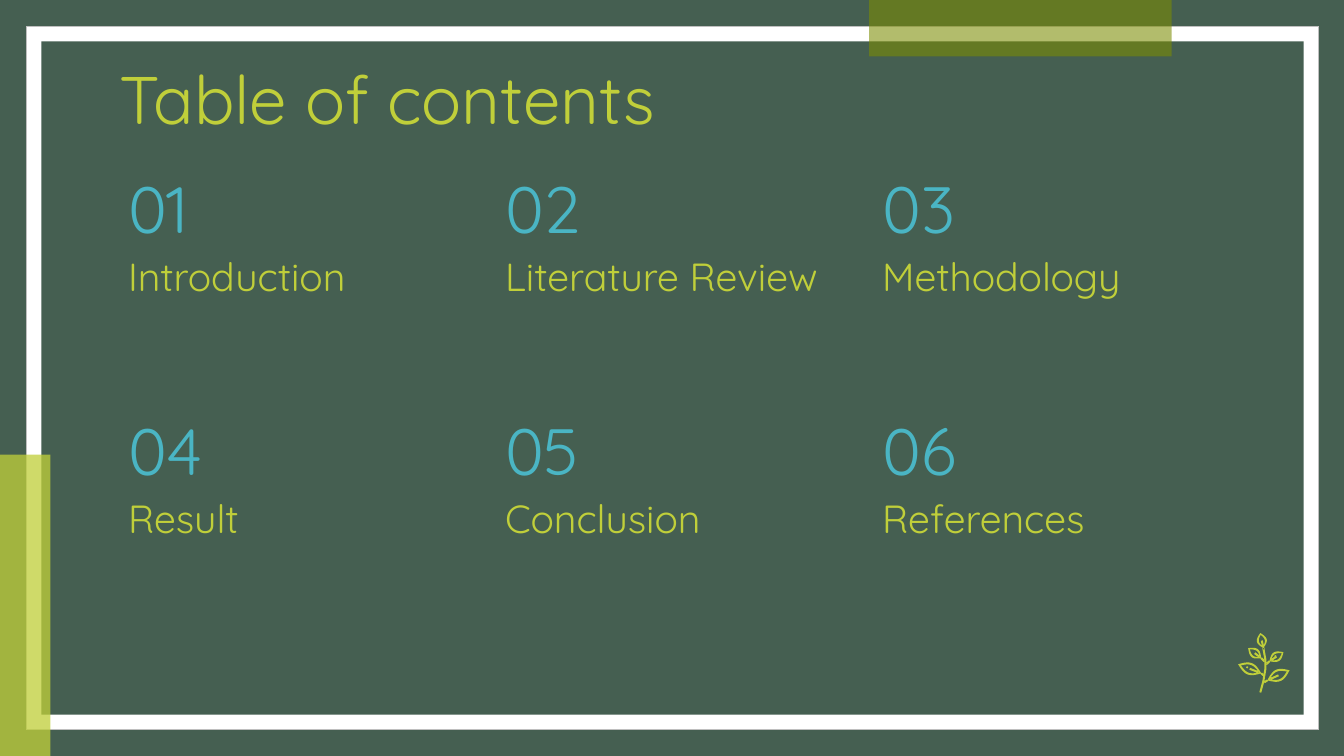
import math
from dataclasses import dataclass

import pptx
import pptx.dml.color
import pptx.enum.shapes
import pptx.enum.text
import pptx.oxml.ns
import pptx.util
from lxml import etree
from pptx.util import Inches

ANCHOR = pptx.enum.text.MSO_ANCHOR


@dataclass(frozen=True)
class Theme:
    font: str = "Quicksand"
    board: str = "455F51"
    frame: str = "FFFFFF"
    frame_edge: str = "BFBFBF"
    olive: str = "7C8C03"
    lime: str = "C0CF3A"
    teal: str = "4AB5C4"
    title_size: float = 48
    number_size: float = 46.67
    label_size: float = 28
    hairline: float = 0.5


THEME = Theme()
TOPICS = ["Introduction", "Literature Review", "Methodology",
          "Result", "Conclusion", "References"]

# Sprig in inches: stem joint, leaf base, leaf tip, half width
LEAVES = [
    ((12.54, 6.44), (12.53, 6.43), (12.5, 6.28), 0.05),
    ((12.54, 6.56), (12.51, 6.53), (12.38, 6.43), 0.05),
    ((12.56, 6.59), (12.59, 6.56), (12.73, 6.47), 0.05),
    ((12.53, 6.7), (12.51, 6.68), (12.28, 6.59), 0.06),
    ((12.54, 6.77), (12.57, 6.75), (12.79, 6.65), 0.06),
]
STEM = [(12.53, 6.43), (12.55, 6.54), (12.55, 6.64), (12.53, 6.76), (12.5, 6.87)]
DOTS = [(12.37, 6.62), (12.65, 6.51)]
STROKE = 0.02


def rgb(color):
    return pptx.dml.color.RGBColor.from_string(color)


def add_block(s, x, y, w, h, color, alpha=None, edge=None):
    sp = s.shapes.add_shape(pptx.enum.shapes.MSO_SHAPE.RECTANGLE,
                            Inches(x), Inches(y), Inches(w), Inches(h))
    sp.shadow.inherit = False
    sp.fill.solid()
    sp.fill.fore_color.rgb = rgb(color)
    if alpha is not None:
        clr = sp._element.spPr.find(".//" + pptx.oxml.ns.qn("a:srgbClr"))
        etree.SubElement(clr, pptx.oxml.ns.qn("a:alpha"), val=str(alpha * 1000))
    if edge:
        sp.line.color.rgb = rgb(edge)
        sp.line.width = pptx.util.Pt(THEME.hairline)
    else:
        sp.line.fill.background()


def add_text(s, x, y, w, h, text, size, color, anchor=ANCHOR.MIDDLE):
    tf = s.shapes.add_textbox(Inches(x), Inches(y), Inches(w), Inches(h)).text_frame
    tf.word_wrap = True
    tf.vertical_anchor = anchor
    tf.margin_left = tf.margin_right = Inches(0.13)
    tf.margin_top = tf.margin_bottom = Inches(0.13)
    p = tf.paragraphs[0]
    p.text = text
    p.line_spacing = 0.9
    p.font.name = THEME.font
    p.font.size = pptx.util.Pt(size)
    p.font.color.rgb = rgb(color)


def add_outline(s, contours, color):
    """Fill one freeform made of closed contours; inner contours cut holes."""
    builder = None
    for contour in contours:
        pts = [(Inches(x), Inches(y)) for x, y in contour]
        if builder is None:
            builder = s.shapes.build_freeform(*pts[0])
        else:
            builder.move_to(*pts[0])
        builder.add_line_segments(pts[1:], close=True)
    sp = builder.convert_to_shape()
    sp.shadow.inherit = False
    sp.fill.solid()
    sp.fill.fore_color.rgb = rgb(color)
    sp.line.fill.background()


def along(a, b, t):
    return a[0] + (b[0] - a[0]) * t, a[1] + (b[1] - a[1]) * t


def leaf(base, tip, half_width, steps=12):
    dx, dy = tip[0] - base[0], tip[1] - base[1]
    length = math.hypot(dx, dy)

    def point(t, side):
        x, y = along(base, tip, t)
        bulge = side * half_width * math.sin(math.pi * t) / length
        return x - dy * bulge, y + dx * bulge

    out = [point(i / steps, 1) for i in range(steps + 1)]
    back = [point(i / steps, -1) for i in range(steps - 1, 0, -1)]
    return out + back


def ribbon(points):
    """Give a polyline the width of the stroke."""
    left, right = [], []
    for i, (x, y) in enumerate(points):
        a, b = points[max(i - 1, 0)], points[min(i + 1, len(points) - 1)]
        k = STROKE / 2 / math.hypot(b[0] - a[0], b[1] - a[1])
        nx, ny = -(b[1] - a[1]) * k, (b[0] - a[0]) * k
        left.append((x + nx, y + ny))
        right.append((x - nx, y - ny))
    return left + right[::-1]


def circle(x, y, radius, steps=12):
    angles = [2 * math.pi * i / steps for i in range(steps)]
    return [(x + radius * math.cos(a), y + radius * math.sin(a)) for a in angles]


def add_sprig(s):
    contours = [ribbon(STEM)]
    for joint, base, tip, half_width in LEAVES:
        inner_base, inner_tip = along(base, tip, 0.1), along(base, tip, 0.88)
        contours += [leaf(base, tip, half_width),
                     leaf(inner_base, inner_tip, half_width - STROKE),
                     ribbon([joint, base]),
                     ribbon([along(base, tip, 0.14), along(base, tip, 0.5)])]
    add_outline(s, contours, THEME.lime)
    for x, y in DOTS:
        add_outline(s, [circle(x, y, STROKE / 2)], THEME.lime)


def main():
    prs = pptx.Presentation()
    prs.slide_width, prs.slide_height = Inches(13.33), Inches(7.5)
    s = prs.slides.add_slide(prs.slide_layouts[6])
    s.background.fill.solid()
    s.background.fill.fore_color.rgb = rgb(THEME.board)

    # Frame and accent bars
    add_block(s, 0.26, 0.26, 12.82, 6.98, THEME.frame, edge=THEME.frame_edge)
    add_block(s, 0.41, 0.41, 12.52, 6.68, THEME.board)
    add_block(s, 8.62, 0, 3, 0.56, THEME.olive, alpha=58)
    add_block(s, 0, 4.51, 0.5, 2.99, THEME.lime, alpha=76)

    # Title
    add_text(s, 1.06, 0.53, 11.22, 0.85, "Table of contents",
             THEME.title_size, THEME.lime, ANCHOR.TOP)

    # Numbered topics, three to a row
    for i, topic in enumerate(TOPICS):
        row, col = divmod(i, 3)
        x, y = 1.14 + 3.74 * col, 1.74 + 2.4 * row
        add_text(s, x, y, 1.25, 0.73, f"{i + 1:02d}", THEME.number_size, THEME.teal)
        add_text(s, x, y + 0.73, 3.58, 0.59, topic, THEME.label_size, THEME.lime)

    # Sprig in the corner
    add_sprig(s)
    prs.save("out.pptx")


if __name__ == "__main__":
    main()
